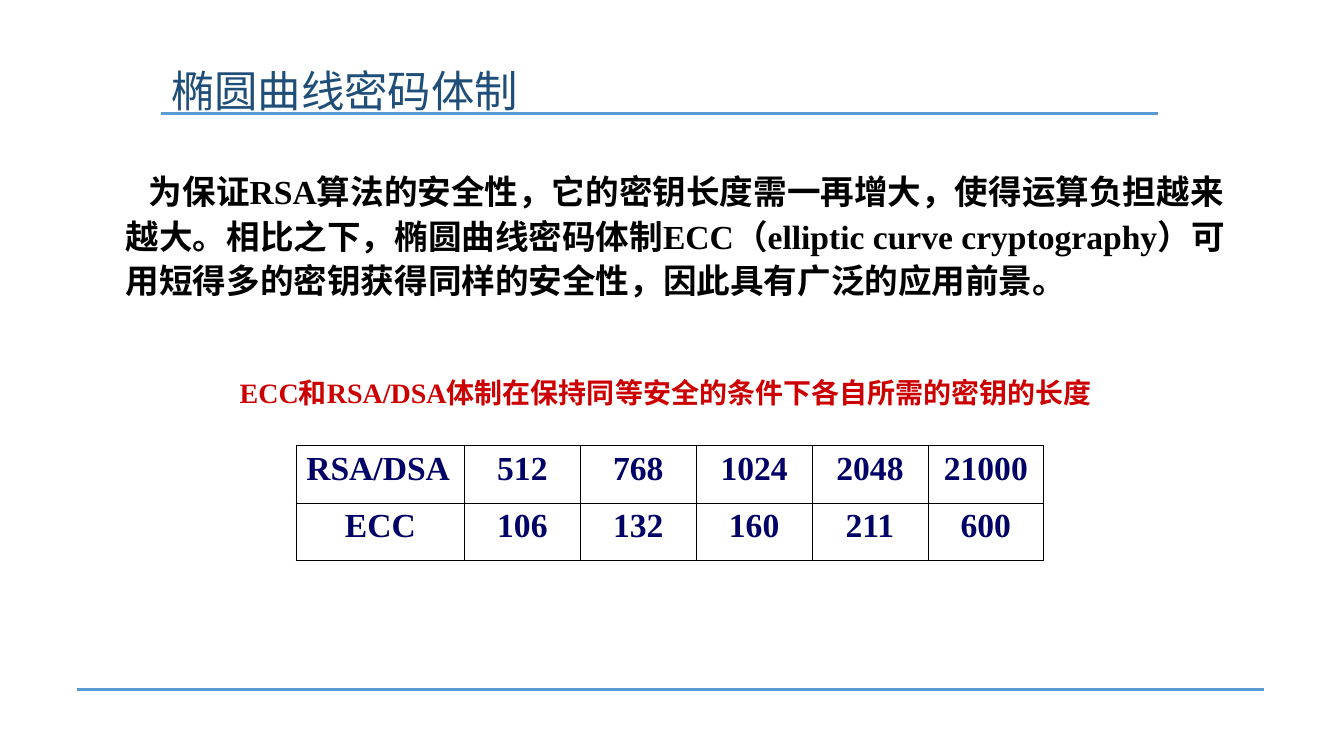
from dataclasses import dataclass

from lxml import etree
from pptx import Presentation
from pptx.dml.color import RGBColor
from pptx.enum.shapes import MSO_CONNECTOR
from pptx.enum.text import MSO_ANCHOR, PP_ALIGN
from pptx.oxml.ns import qn
from pptx.util import Inches, Pt

STRAIGHT = MSO_CONNECTOR.STRAIGHT
TOP, MIDDLE = MSO_ANCHOR.TOP, MSO_ANCHOR.MIDDLE
LEFT, CENTER = PP_ALIGN.LEFT, PP_ALIGN.CENTER


@dataclass(frozen=True)
class Theme:
    rule: str = "5B9BD5"
    title: str = "1F4E79"
    body: str = "000000"
    caption: str = "CC0000"
    cell: str = "000066"
    border: str = "000000"
    title_font: str = "Noto Sans CJK SC"
    text_font: str = "Times New Roman"
    title_size: float = 31
    body_size: float = 24
    caption_size: float = 20
    rule_width: float = 2.25
    outer_border: float = 1.08
    inner_border: float = 0.45


THEME = Theme()

TITLE = "椭圆曲线密码体制"
BODY = ("为保证RSA算法的安全性，它的密钥长度需一再增大，使得运算负担越来越大。"
        "相比之下，椭圆曲线密码体制ECC（elliptic curve cryptography）"
        "可用短得多的密钥获得同样的安全性，因此具有广泛的应用前景。")
CAPTION = "ECC和RSA/DSA体制在保持同等安全的条件下各自所需的密钥的长度"
KEY_LENGTHS = [
    ["RSA/DSA", "512", "768", "1024", "2048", "21000"],
    ["ECC", "106", "132", "160", "211", "600"],
]


def style(paragraph, size, color, font=THEME.text_font, bold=True):
    paragraph.font.name = font
    paragraph.font.size = Pt(size)
    paragraph.font.bold = bold
    paragraph.font.color.rgb = RGBColor.from_string(color)


def add_rule(page, left, right, y):
    rule = page.shapes.add_connector(
        STRAIGHT, Inches(left), Inches(y), Inches(right), Inches(y))
    rule.line.color.rgb = RGBColor.from_string(THEME.rule)
    rule.line.width = Pt(THEME.rule_width)
    etree.SubElement(rule._element.spPr, qn("a:effectLst"))


def add_text(page, text, left, top, width, height, anchor=TOP):
    box = page.shapes.add_textbox(
        Inches(left), Inches(top), Inches(width), Inches(height))
    box.text_frame.word_wrap = True
    box.text_frame.vertical_anchor = anchor
    paragraph = box.text_frame.paragraphs[0]
    paragraph.text = text
    return paragraph


def set_border(cell, side, width):
    line = etree.SubElement(
        cell._tc.get_or_add_tcPr(), qn(f"a:ln{side}"), w=str(Pt(width)))
    fill = etree.SubElement(line, qn("a:solidFill"))
    etree.SubElement(fill, qn("a:srgbClr"), val=THEME.border)


def add_key_table(page, rows, left, top, first_width, width, height):
    row_count, column_count = len(rows), len(rows[0])
    total = first_width + width * (column_count - 1)
    table = page.shapes.add_table(
        row_count, column_count, Inches(left), Inches(top),
        Inches(total), Inches(height * row_count)).table
    for index, column in enumerate(table.columns):
        column.width = Inches(width if index else first_width)
    for r, row in enumerate(rows):
        for c, value in enumerate(row):
            cell = table.cell(r, c)
            outer_sides = {"L": c == 0, "R": c == column_count - 1,
                           "T": r == 0, "B": r == row_count - 1}
            for side, outer in outer_sides.items():
                set_border(cell, side, THEME.outer_border if outer
                           else THEME.inner_border)
            cell.fill.background()
            paragraph = cell.text_frame.paragraphs[0]
            paragraph.text = value
            paragraph.alignment = CENTER if r or c else LEFT
            style(paragraph, THEME.body_size, THEME.cell)


def main():
    deck = Presentation()
    deck.slide_width, deck.slide_height = Inches(13.34), Inches(7.5)
    page = deck.slides.add_slide(deck.slide_layouts[6])

    # Rules under the title and at the foot
    add_rule(page, 1.6, 11.49, 1.13)
    add_rule(page, 0.76, 12.55, 6.84)

    # Title, with its font set for Chinese characters too
    title = add_text(page, TITLE, 1.6, 0.4, 9.88, 0.73, MIDDLE)
    title.line_spacing = 1.5
    style(title, THEME.title_size, THEME.title, THEME.title_font, bold=False)
    etree.SubElement(title.font._element, qn("a:ea"),
                     typeface=THEME.title_font)

    # Body paragraph with a first-line indent
    body = add_text(page, BODY, 0.9, 1.61, 11.52, 5.01)
    body.line_spacing = 1.1
    properties = body._p.get_or_add_pPr()
    properties.set("marL", str(Inches(0.25)))
    properties.set("indent", str(Inches(0.23)))
    style(body, THEME.body_size, THEME.body)

    # Key length table and its caption
    add_key_table(page, KEY_LENGTHS, 2.94, 4.42, 1.67, 1.15, 0.57)
    caption = add_text(page, CAPTION, 2.28, 3.68, 8.75, 0.77)
    style(caption, THEME.caption_size, THEME.caption)

    deck.save("out.pptx")


if __name__ == "__main__":
    main()
